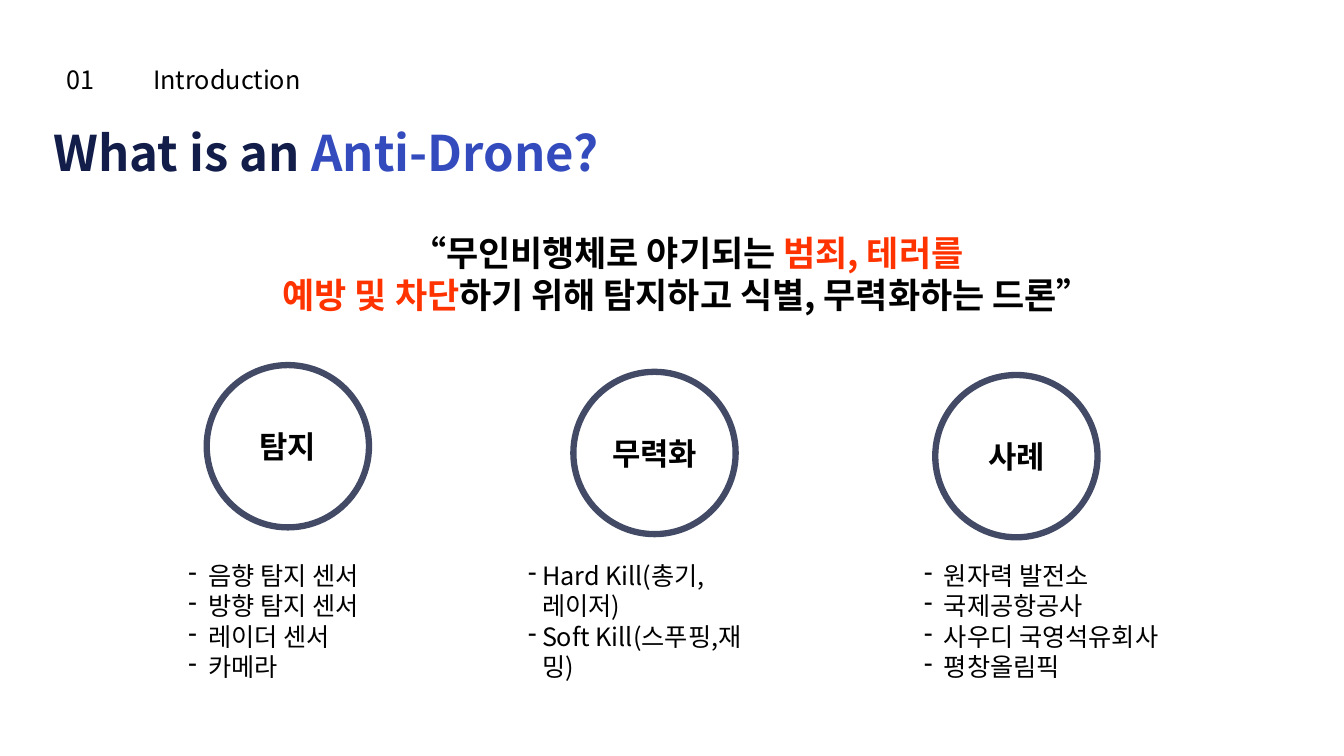
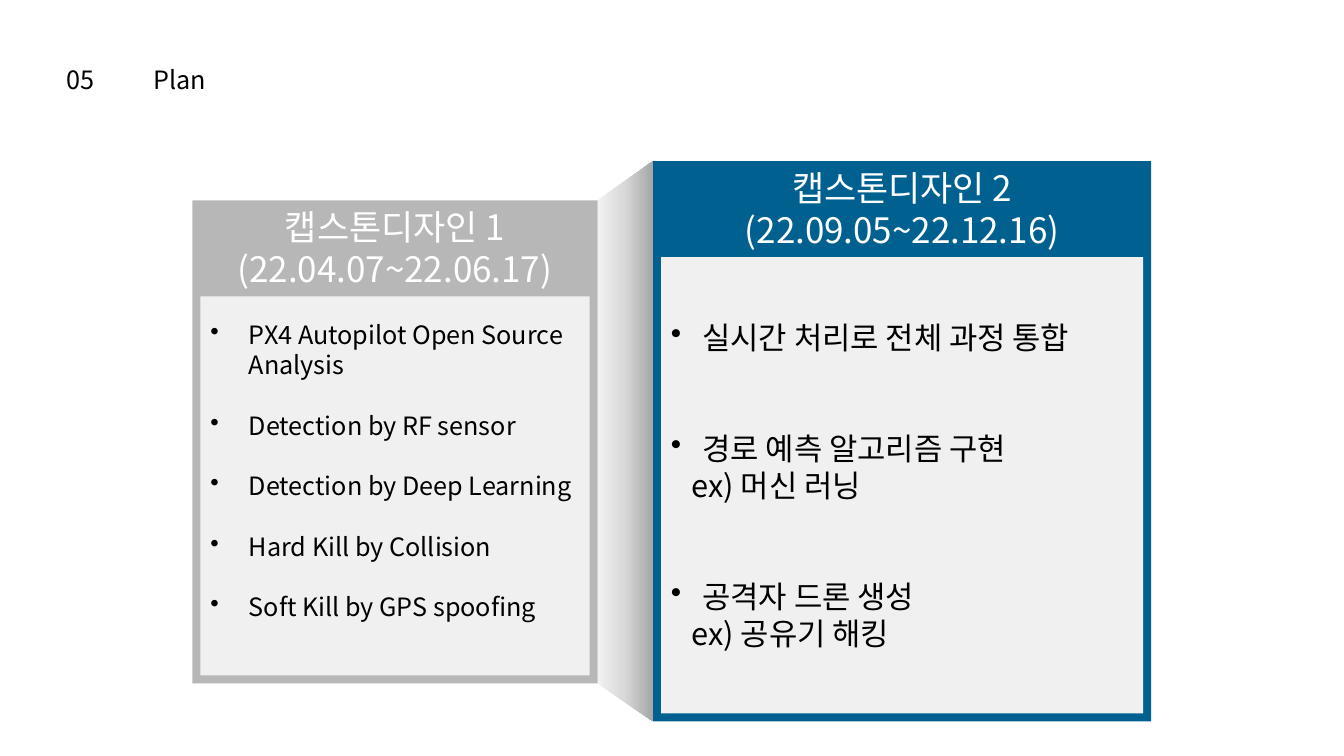
import copy
from dataclasses import dataclass

import pptx
import pptx.dml.color
import pptx.enum.shapes
import pptx.enum.text
import pptx.oxml
import pptx.oxml.ns
import pptx.util

Cm = pptx.util.Cm
Pt = pptx.util.Pt
ALIGN = pptx.enum.text.PP_ALIGN
ANCHOR = pptx.enum.text.MSO_ANCHOR
SHAPE = pptx.enum.shapes.MSO_SHAPE
TITLE_ONLY = 5


@dataclass(frozen=True)
class Theme:
    font: str = "Noto Sans CJK KR"
    line_height: float = 1.2
    body: int = 18
    label: int = 22
    heading: int = 25
    title: int = 35
    black: str = "000000"
    white: str = "FFFFFF"
    navy: str = "121D49"
    blue: str = "344BBE"
    red: str = "FF3300"
    ring: str = "434A66"
    grey: str = "B7B7B7"
    teal: str = "006190"
    panel: str = "F0F0F0"
    fold: tuple = ((0, "F2F2F2"), (0.47, "D9D9D9"), (1, "A6A6A6"))


@dataclass
class Line:
    """A paragraph: runs are (text, colour) pairs; lengths are in cm."""
    runs: list
    bullet: str = ""
    indent: float = 0
    gap_lines: int = 0


def rgb(colour):
    return pptx.dml.color.RGBColor.from_string(colour)


class Deck:
    def __init__(self, theme):
        self.theme = theme
        self.presentation = pptx.Presentation()
        self.presentation.slide_width = Cm(33.87)
        self.presentation.slide_height = Cm(19.05)
        self.slide = None

    def add_slide(self, number, section, headline=None):
        """Start a slide; the headline, or else the section, is its title."""
        theme = self.theme
        layout = self.presentation.slide_layouts[TITLE_ONLY]
        self.slide = self.presentation.slides.add_slide(layout)
        title = self.slide.shapes.title
        self.text_box(1.42, 1.5, 1.4, 1.02, [self.line(number)], theme.body)
        section_box = (3.61, 1.5, 10.85, 1.02)
        if headline:
            self.text_box(*section_box, [self.line(section)], theme.body)
            self.place(title, 1.09, 2.95, 16.18, 1.75)
            self.set_text(title, [headline], theme.title, bold=True)
        else:
            self.place(title, *section_box)
            self.set_text(title, [self.line(section)], theme.body)

    def line(self, text, colour=None, **layout):
        return Line([(text, colour or self.theme.black)], **layout)

    def place(self, shape, left, top, width, height):
        shape.left, shape.top = Cm(left), Cm(top)
        shape.width, shape.height = Cm(width), Cm(height)

    def set_text(self, shape, lines, size, bold=False, align=ALIGN.LEFT,
                 anchor=ANCHOR.TOP):
        frame = shape.text_frame
        frame.word_wrap = True
        frame.auto_size = pptx.enum.text.MSO_AUTO_SIZE.NONE
        frame.vertical_anchor = anchor
        line_height = size * self.theme.line_height
        for index, line in enumerate(lines):
            paragraph = frame.add_paragraph() if index else frame.paragraphs[0]
            self.set_indent(paragraph, line)
            paragraph.alignment = align
            paragraph.line_spacing = Pt(line_height)
            paragraph.space_before = Pt(line_height * line.gap_lines)
            for text, colour in line.runs:
                self.add_run(paragraph, text, size, colour, bold)

    def set_indent(self, paragraph, line):
        if not line.indent:
            return
        properties = paragraph._p.get_or_add_pPr()
        properties.set("marL", str(Cm(line.indent)))
        properties.set("indent", str(-Cm(line.indent) if line.bullet else 0))
        if line.bullet:
            bullet = pptx.oxml.ns.qn("a:buChar")
            properties.append(properties.makeelement(bullet, {"char": line.bullet}))

    def add_run(self, paragraph, text, size, colour, bold):
        for index, part in enumerate(text.split("\n")):
            if index:
                paragraph.add_line_break()
            run = paragraph.add_run()
            run.text = part
            run.font.name = self.theme.font
            run.font.size = Pt(size)
            run.font.bold = bold
            run.font.color.rgb = rgb(colour)
            properties = run._r.get_or_add_rPr()
            east_asian = pptx.oxml.ns.qn("a:ea")
            properties.append(
                properties.makeelement(east_asian, {"typeface": self.theme.font}))

    def text_box(self, left, top, width, height, lines, size, **style):
        box = self.slide.shapes.add_textbox(
            Cm(left), Cm(top), Cm(width), Cm(height))
        self.set_text(box, lines, size, **style)

    def rectangle(self, left, top, width, height, colour):
        shape = self.slide.shapes.add_shape(
            SHAPE.RECTANGLE, Cm(left), Cm(top), Cm(width), Cm(height))
        shape.shadow.inherit = False
        shape.fill.solid()
        shape.fill.fore_color.rgb = rgb(colour)
        shape.line.fill.background()
        return shape

    def ring(self, left, top, diameter, label):
        shape = self.slide.shapes.add_shape(
            SHAPE.OVAL, Cm(left), Cm(top), Cm(diameter), Cm(diameter))
        shape.shadow.inherit = False
        shape.fill.background()
        shape.line.color.rgb = rgb(self.theme.ring)
        shape.line.width = Pt(4.5)
        frame = shape.text_frame
        frame.margin_left = frame.margin_right = 0
        self.set_text(shape, [self.line(label)], self.theme.label, bold=True,
                      align=ALIGN.CENTER, anchor=ANCHOR.MIDDLE)

    def card(self, bounds, colour, heading, lines, size, bottom_margin=0.13):
        left, top, width, height = bounds
        border, header = 0.2, 2.42
        self.rectangle(*bounds, colour)
        self.text_box(left, top, width, header,
                      [self.line(text, self.theme.white) for text in heading],
                      self.theme.heading, align=ALIGN.CENTER)
        panel = self.rectangle(left + border, top + header, width - 2 * border,
                               height - header - border, self.theme.panel)
        panel.text_frame.margin_bottom = Cm(bottom_margin)
        self.set_text(panel, lines, size, anchor=ANCHOR.MIDDLE)

    def fold(self, near, far):
        """Join the right edge of one card to the left edge of the next."""
        near_x, near_top = near[0] + near[2], near[1]
        far_x, far_top = far[0], far[1]
        corners = [(near_x, near_top), (far_x, far_top),
                   (far_x, far_top + far[3]), (near_x, near_top + near[3])]
        points = [(Cm(x), Cm(y)) for x, y in corners]
        builder = self.slide.shapes.build_freeform(*points[0])
        builder.add_line_segments(points[1:], close=True)
        shape = builder.convert_to_shape()
        shape.shadow.inherit = False
        shape.line.fill.background()
        shape.fill.gradient()
        shape.fill.gradient_angle = 0
        stop_list = shape._element.spPr.find(".//" + pptx.oxml.ns.qn("a:gsLst"))
        stop_list.insert(1, copy.deepcopy(stop_list[0]))
        for stop, (position, colour) in zip(shape.fill.gradient_stops,
                                            self.theme.fold):
            stop.position = position
            stop.color.rgb = rgb(colour)


def introduction(deck):
    theme = deck.theme
    deck.add_slide("01", "Introduction", Line(
        [("What is an ", theme.navy), ("Anti-Drone?", theme.blue)]))
    quote = [
        Line([("“무인비행체로 야기되는 ", theme.black), ("범죄, 테러를", theme.red)]),
        Line([("예방 및 차단", theme.red),
              ("하기 위해 탐지하고 식별, 무력화하는 드론”", theme.black)]),
    ]
    deck.text_box(2.46, 5.72, 29.72, 2.39, quote, theme.heading, bold=True,
                  align=ALIGN.CENTER)
    columns = [
        (5.21, 9.2, "탐지", 4.5, 0.5,
         ["음향 탐지 센서", "방향 탐지 센서", "레이더 센서", "카메라"]),
        (14.45, 9.37, "무력화", 13.06, 0.35,
         ["Hard Kill(총기,\n레이저)", "Soft Kill(스푸핑,재\n밍)"]),
        (23.57, 9.45, "사례", 23.04, 0.5,
         ["원자력 발전소", "국제공항공사", "사우디 국영석유회사", "평창올림픽"]),
    ]
    for ring_left, ring_top, label, list_left, indent, items in columns:
        deck.ring(ring_left, ring_top, 4.09, label)
        lines = [deck.line(item, bullet="-", indent=indent) for item in items]
        deck.text_box(list_left, 14, 7.21, 3.33, lines, theme.body)


def plan(deck):
    theme = deck.theme
    deck.add_slide("05", "Plan")
    first = (4.85, 5.05, 10.21, 12.17)
    second = (16.46, 4.06, 12.55, 14.12)
    goals = ["PX4 Autopilot Open Source Analysis", "Detection by RF sensor",
             "Detection by Deep Learning", "Hard Kill by Collision",
             "Soft Kill by GPS spoofing"]
    goal_lines = [deck.line(goal, bullet="•", indent=0.97,
                            gap_lines=1 if index else 0)
                  for index, goal in enumerate(goals)]
    steps = [("실시간 처리로 전체 과정 통합", None),
             ("경로 예측 알고리즘 구현", "ex) 머신 러닝"),
             ("공격자 드론 생성", "ex) 공유기 해킹")]
    step_lines = []
    for step, example in steps:
        step_lines.append(deck.line(step, bullet="•", indent=0.79,
                                    gap_lines=2 if step_lines else 0))
        if example:
            step_lines.append(deck.line(example, indent=0.52))
    deck.fold(first, second)
    deck.card(first, theme.grey, ["캡스톤디자인 1", "(22.04.07~22.06.17)"],
              goal_lines, theme.body, bottom_margin=0.89)
    deck.card(second, theme.teal, ["캡스톤디자인 2", "(22.09.05~22.12.16)"],
              step_lines, theme.label)


def main():
    deck = Deck(Theme())
    introduction(deck)
    plan(deck)
    deck.presentation.save("out.pptx")


if __name__ == "__main__":
    main()
